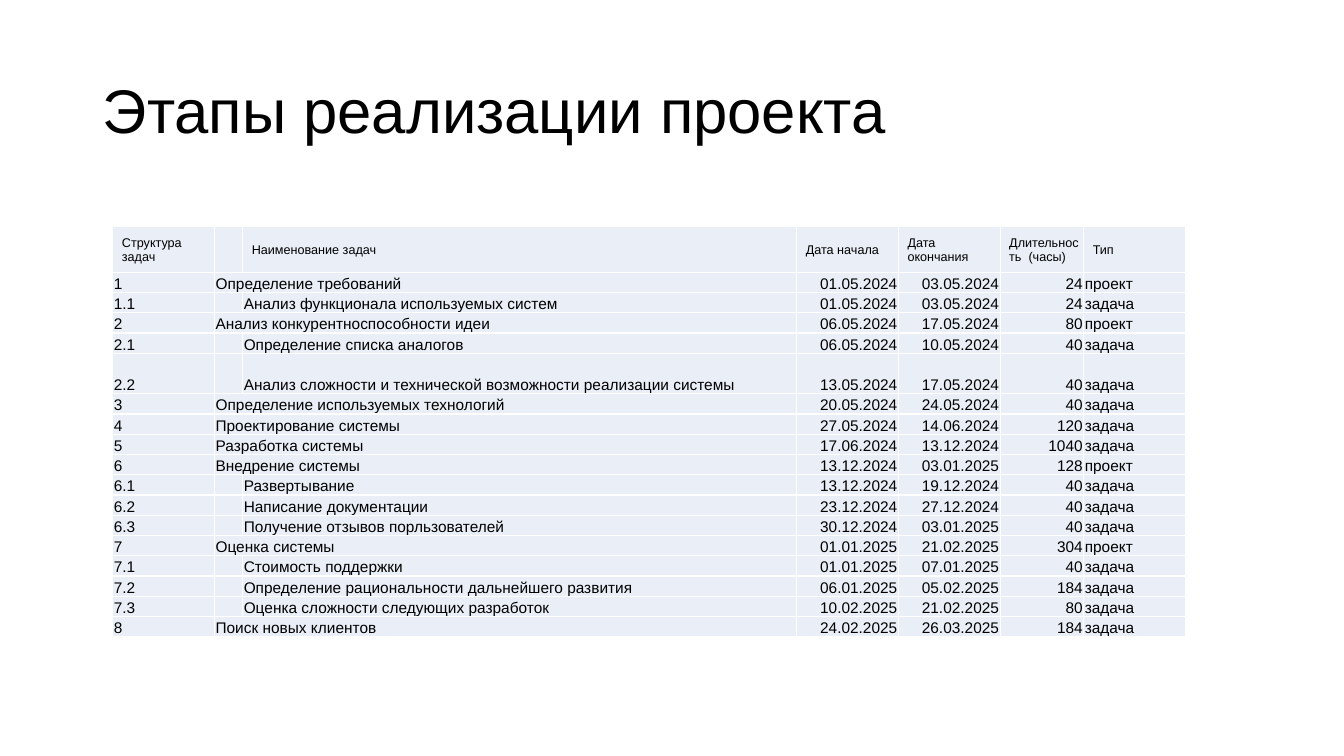
from dataclasses import dataclass

from lxml.etree import SubElement
from pptx import Presentation
from pptx.dml.color import RGBColor
from pptx.enum.text import MSO_ANCHOR, MSO_AUTO_SIZE, PP_ALIGN
from pptx.oxml.ns import qn
from pptx.util import Inches, Pt


@dataclass(frozen=True)
class Theme:
    font: str = "Arial"
    text: str = "000000"
    cell: str = "EAEFF7"
    border: str = "FFFFFF"
    border_width: float = 1
    title_size: float = 44
    header_size: float = 9
    task_size: float = 11


HEADERS = ["Структура задач", "", "Наименование задач", "Дата начала",
           "Дата окончания", "Длительность  (часы)", "Тип"]
TASKS = [
    ("1", "Определение требований", "01.05.2024", "03.05.2024", "24", "проект"),
    ("1.1", "Анализ функционала используемых систем", "01.05.2024", "03.05.2024", "24", "задача"),
    ("2", "Анализ конкурентноспособности идеи", "06.05.2024", "17.05.2024", "80", "проект"),
    ("2.1", "Определение списка аналогов", "06.05.2024", "10.05.2024", "40", "задача"),
    ("2.2", "Анализ сложности и технической возможности реализации системы",
     "13.05.2024", "17.05.2024", "40", "задача"),
    ("3", "Определение используемых технологий", "20.05.2024", "24.05.2024", "40", "задача"),
    ("4", "Проектирование системы", "27.05.2024", "14.06.2024", "120", "задача"),
    ("5", "Разработка системы", "17.06.2024", "13.12.2024", "1040", "задача"),
    ("6", "Внедрение системы", "13.12.2024", "03.01.2025", "128", "проект"),
    ("6.1", "Развертывание", "13.12.2024", "19.12.2024", "40", "задача"),
    ("6.2", "Написание документации", "23.12.2024", "27.12.2024", "40", "задача"),
    ("6.3", "Получение отзывов порльзователей", "30.12.2024", "03.01.2025", "40", "задача"),
    ("7", "Оценка системы", "01.01.2025", "21.02.2025", "304", "проект"),
    ("7.1", "Стоимость поддержки", "01.01.2025", "07.01.2025", "40", "задача"),
    ("7.2", "Определение рациональности дальнейшего развития",
     "06.01.2025", "05.02.2025", "184", "задача"),
    ("7.3", "Оценка сложности следующих разработок", "10.02.2025", "21.02.2025", "80", "задача"),
    ("8", "Поиск новых клиентов", "24.02.2025", "26.03.2025", "184", "задача"),
]
COLUMN_WEIGHTS = [1.01, 0.28, 5.5, 1.01, 1.01, 0.83, 1.01]
HEADER_WEIGHT = 2.25
TALL_TASK = "2.2"
RIGHT_ALIGNED_COLUMNS = (3, 4, 5)


class SlideBuilder:
    def __init__(self, presentation, theme):
        self.theme = theme
        self.width = presentation.slide_width
        self.height = presentation.slide_height
        self.slide = presentation.slides.add_slide(presentation.slide_layouts[5])

    def frame(self, left, top, width, height):
        """Turn shares of the slide's size, in percent, into lengths."""
        return [int(share * side / 100) for share, side in
                zip((left, top, width, height), (self.width, self.height) * 2)]

    def add_run(self, paragraph, text, size):
        run = paragraph.add_run()
        run.text = text
        run.font.name = self.theme.font
        run.font.size = Pt(size)
        run.font.bold = False
        run.font.color.rgb = RGBColor.from_string(self.theme.text)

    def add_title(self, text, frame):
        title = self.slide.shapes.title
        title.left, title.top, title.width, title.height = frame
        title.text_frame.auto_size = MSO_AUTO_SIZE.NONE
        title.text_frame.word_wrap = True
        title.text_frame.vertical_anchor = MSO_ANCHOR.MIDDLE
        paragraph = title.text_frame.paragraphs[0]
        paragraph.alignment = PP_ALIGN.LEFT
        paragraph.line_spacing = 0.9
        self.add_run(paragraph, text, self.theme.title_size)

    def add_borders(self, cell):
        properties = cell._tc.get_or_add_tcPr()
        for side in ("a:lnL", "a:lnR", "a:lnT", "a:lnB"):
            line = SubElement(properties, qn(side), w=str(Pt(self.theme.border_width)))
            fill = SubElement(line, qn("a:solidFill"))
            SubElement(fill, qn("a:srgbClr"), val=self.theme.border)

    def format_cell(self, cell, text, is_header, alignment):
        self.add_borders(cell)
        cell.fill.solid()
        cell.fill.fore_color.rgb = RGBColor.from_string(self.theme.cell)
        cell.margin_left = Inches(0.09 if is_header else 0.01)
        cell.margin_right = cell.margin_top = Inches(0.01)
        cell.margin_bottom = 0
        cell.vertical_anchor = MSO_ANCHOR.MIDDLE if is_header else MSO_ANCHOR.BOTTOM
        size = self.theme.header_size if is_header else self.theme.task_size
        paragraph = cell.text_frame.paragraphs[0]
        paragraph.alignment = alignment
        if text:
            self.add_run(paragraph, text, size)
        else:
            # An empty cell still needs a small type size to keep its row low.
            SubElement(paragraph._p, qn("a:endParaRPr"), sz=str(size * 100))

    def add_task_table(self, headers, tasks, frame):
        """Draw the tasks; names of top-level tasks span the indent column."""
        table = self.slide.shapes.add_table(len(tasks) + 1, len(headers), *frame).table
        table.first_row = table.horz_banding = False
        row_weights = [HEADER_WEIGHT] + [2 if task[0] == TALL_TASK else 1 for task in tasks]
        for column, weight in zip(table.columns, COLUMN_WEIGHTS):
            column.width = int(frame[2] * weight / sum(COLUMN_WEIGHTS))
        for row, weight in zip(table.rows, row_weights):
            row.height = int(frame[3] * weight / sum(row_weights))

        rows = [headers]
        for code, name, *details in tasks:
            names = ["", name] if "." in code else [name, ""]
            rows.append([code, *names, *details])
        for row_index, values in enumerate(rows):
            is_header = row_index == 0
            for column_index, text in enumerate(values):
                is_right = not is_header and column_index in RIGHT_ALIGNED_COLUMNS
                alignment = PP_ALIGN.RIGHT if is_right else PP_ALIGN.LEFT
                self.format_cell(table.cell(row_index, column_index), text, is_header, alignment)
            if values[1]:
                table.cell(row_index, 1).merge(table.cell(row_index, 2))


def main():
    presentation = Presentation()
    presentation.slide_width = Inches(13.33)
    presentation.slide_height = Inches(7.5)
    builder = SlideBuilder(presentation, Theme())
    builder.add_title("Этапы реализации проекта", builder.frame(6.9, 5.33, 86.27, 19.33))
    builder.add_task_table(HEADERS, TASKS, builder.frame(8.4, 30, 79.82, 54.27))
    presentation.save("out.pptx")


if __name__ == "__main__":
    main()
